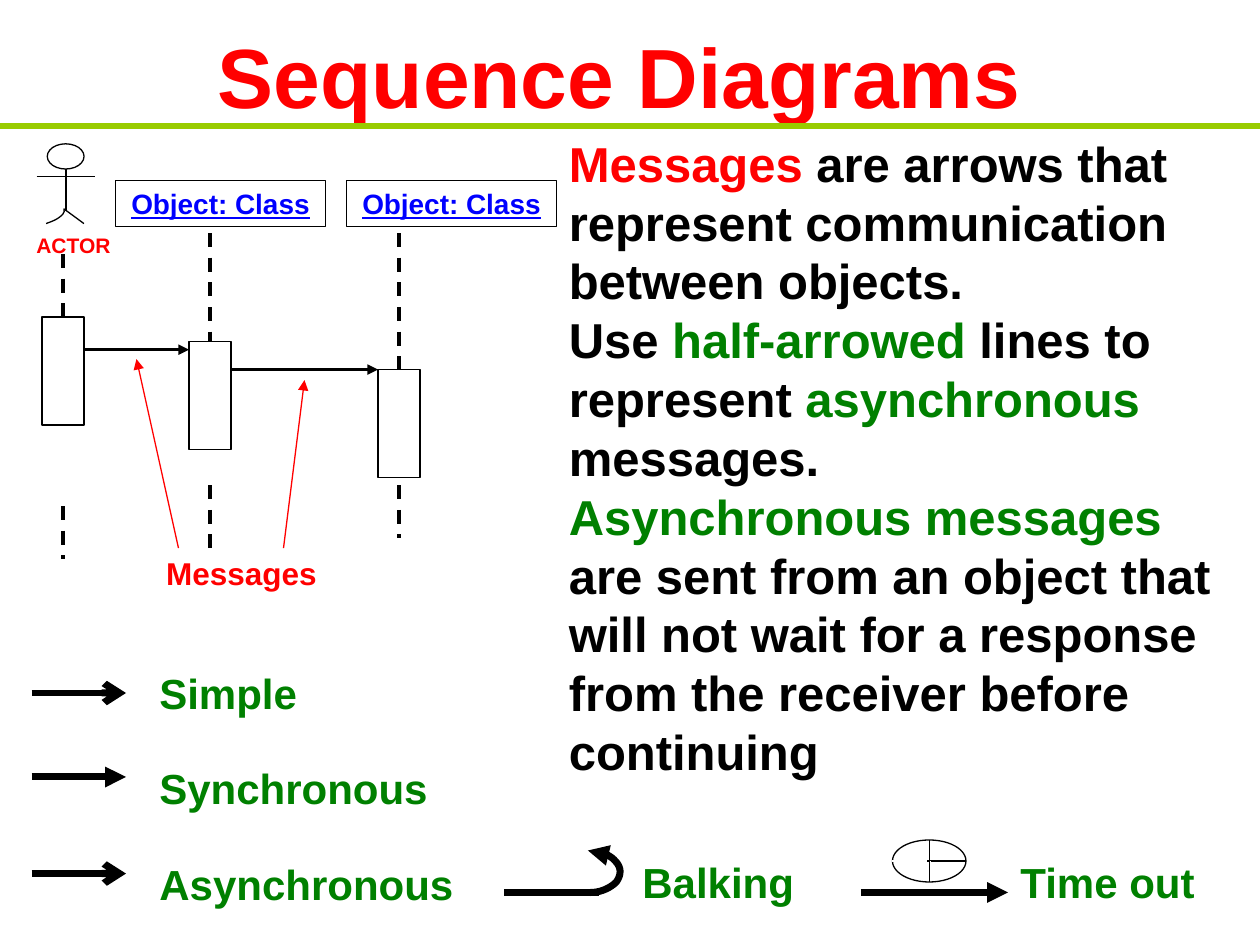
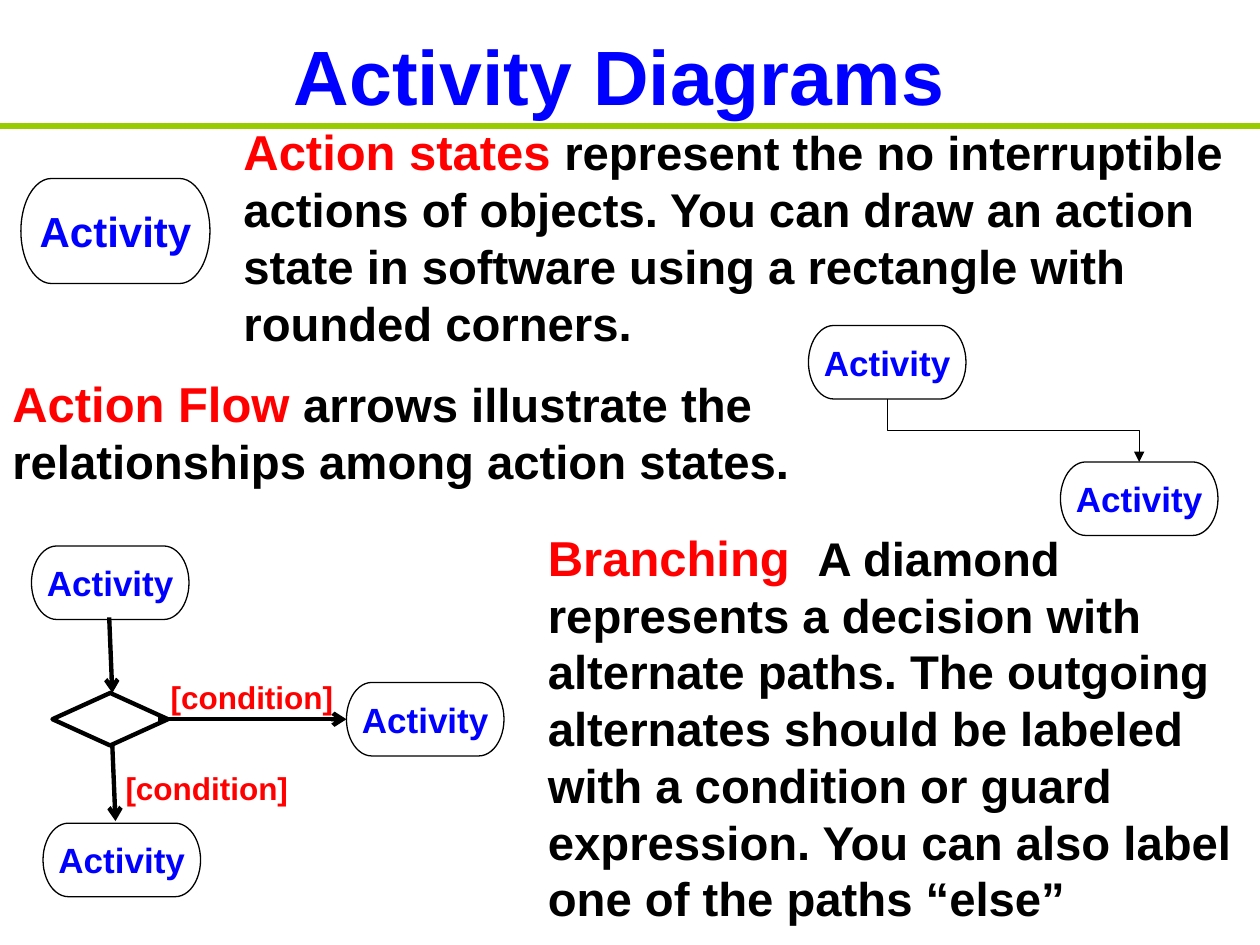
"""Build two slides on UML sequence and activity diagrams."""
from lxml import etree
from pptx import Presentation
from pptx.dml.color import RGBColor
from pptx.enum.dml import MSO_LINE
from pptx.enum.shapes import MSO_CONNECTOR, MSO_SHAPE
from pptx.enum.text import MSO_ANCHOR, PP_ALIGN
from pptx.oxml.ns import qn
from pptx.util import Inches, Pt

STRAIGHT, ELBOW = MSO_CONNECTOR.STRAIGHT, MSO_CONNECTOR.ELBOW
RECTANGLE, OVAL, DIAMOND = MSO_SHAPE.RECTANGLE, MSO_SHAPE.OVAL, MSO_SHAPE.DIAMOND
TERMINATOR, OR_GATE = MSO_SHAPE.FLOWCHART_TERMINATOR, MSO_SHAPE.FLOWCHART_OR
LEFT, CENTER = PP_ALIGN.LEFT, PP_ALIGN.CENTER
TOP, MIDDLE = MSO_ANCHOR.TOP, MSO_ANCHOR.MIDDLE

FONT = "Arial"
BLACK, WHITE, RED, GREEN, BLUE, LIME = "000000", "FFFFFF", "FF0000", "008000", "0000FF", "99CC00"
COLUMNS, ROWS, CELLS_PER_INCH = 120, 90, 12
TITLE_BOX, RULE_ROW = (8, 2, 102, 10.2), 12

MESSAGE_NOTES = [
    [("Messages", RED), (" are arrows that represent communication between objects.", BLACK)],
    [("Use ", BLACK), ("half-arrowed", GREEN), (" lines to represent ", BLACK),
     ("asynchronous ", GREEN), ("messages.", BLACK)],
    [("Asynchronous messages", GREEN),
     (" are sent from an object that will not wait for a response from the receiver"
      " before continuing", BLACK)],
]
OBJECT_COLUMNS = [11, 33]
LIFELINES = [
    {"column": 6, "start": 24.2, "bar": 30.2, "resume": 48.2, "end": 53.2},
    {"column": 20, "start": 22.2, "bar": 32.5, "resume": 46.2, "end": 52.2},
    {"column": 38, "start": 22.2, "bar": 35.2, "resume": 46.2, "end": 51.2},
]
BAR_WIDTH, BAR_HEIGHT = 4, 10.3
MESSAGE_ROWS = [33.3, 35.2]
CALLOUTS = [((17, 52.2), (13, 34.2)), ((27, 52.2), (29, 36.2))]
ARROW_KINDS = [
    ("Simple", (14, 63, 25, 6), (3, 66), (12, 66), "arrow"),
    ("Synchronous", (14, 72, 29, 6), (3, 74), (12, 74), "triangle"),
    ("Asynchronous", (14, 81.2, 32, 6), (3, 83.2), (12, 83.2), "arrow"),
    ("Balking", (60, 81, 17, 6), (48, 85), (57, 85), None),
    ("Time out", (96, 81, 21, 6), (82, 85), (96, 85), "triangle"),
]
BALKING_TURN = [
    [(56.2, 85), (57.2, 85), (58.1, 84.6), (58.7, 84)],
    [(58.7, 84), (59.2, 83.3), (59.2, 82.6), (58.6, 82)],
    [(58.6, 82), (58.1, 81.4), (57.1, 81), (56, 81)],
]
ACTOR_HEAD = (4.5, 13.7, 3.5, 2.4)
ACTOR_LIMBS = [((6.3, 16.1), (6.3, 20.1)), ((3.5, 16.8), (9, 16.8))]
ACTOR_LEGS = [
    [(4.4, 21.3), (5.2, 21), (5.5, 20.9), (6, 20.4)],
    [(6, 20.4), (6.2, 20), (6.1, 20.3), (6.1, 19.9)],
]
ACTOR_FOOT = (8, 21.3)
CLOCK = (85, 80, 7, 4)
CLOCK_GAPS = [((85, 82), (88.3, 82)), ((88.6, 82), (88.6, 83.6))]

ACTIVITY_NOTES = [
    ((22, 11, 98, 23), "Action states ",
     "represent the no interruptible actions of objects. You can draw an action state in"
     " software using a rectangle with rounded corners."),
    ((0, 35, 77, 12.2), "Action Flow ",
     "arrows illustrate the relationships among action states."),
    ((51, 49.6, 69, 39.3), "Branching\t",
     "A diamond represents a decision with alternate paths. The outgoing alternates should be"
     " labeled with a condition or guard expression. You can also label one of the paths “else”"),
]
BRANCHING_TAB = 2.14
MAIN_ACTIVITY = (2, 17, 18, 10)
ACTIVITY_CORNERS = [(77, 31), (101, 44), (3, 52), (33, 65), (4.1, 78.4)]
ACTIVITY_SIZE = (15, 7)
ACTION_FLOW = ((84.5, 38), (108.5, 44))
DECISION = (5, 66, 11, 5)
BRANCHES = [((10.4, 58.8), (10.7, 66)), ((10.7, 71), (11, 78.2)), ((15, 68.5), (33, 68.5))]
CONDITION_CORNERS = [(14, 64), (9.7, 72.7)]


def cells(*lengths):
    return [Inches(length / CELLS_PER_INCH) for length in lengths]


def rgb(color):
    return RGBColor.from_string(color)


def write(frame, content, size=24, color=BLACK, align=LEFT, anchor=TOP, underline=False,
          inset=True, tab=None):
    frame.word_wrap = inset
    frame.vertical_anchor = anchor
    frame.margin_left = frame.margin_right = Inches(0.1 if inset else 0)
    frame.margin_top = frame.margin_bottom = Inches(0.05 if inset else 0)
    paragraphs = [[(content, color)]] if isinstance(content, str) else content
    for index, pieces in enumerate(paragraphs):
        paragraph = frame.add_paragraph() if index else frame.paragraphs[0]
        paragraph.alignment = align
        if tab:
            stops = etree.SubElement(paragraph._p.get_or_add_pPr(), qn("a:tabLst"))
            etree.SubElement(stops, qn("a:tab"), pos=str(Inches(tab)), algn="l")
        for words, piece_color, *piece_size in pieces:
            run = paragraph.add_run()
            run.text = words
            run.font.name, run.font.bold = FONT, True
            run.font.size = Pt(piece_size[0] if piece_size else size)
            run.font.color.rgb = rgb(piece_color)
            if underline:
                run.font.underline = True


def add_text(slide, box, content, **style):
    write(slide.shapes.add_textbox(*cells(*box)).text_frame, content, **style)


def ink(stroke, color, width, dash=None, tail=None):
    stroke.line.color.rgb = rgb(color)
    stroke.line.width = Pt(width)
    if dash:
        stroke.line.dash_style = dash
    if tail:
        outline = stroke.element.spPr.find(qn("a:ln"))
        etree.SubElement(outline, qn("a:tailEnd"), type=tail)


def add_line(slide, start, end, color=BLACK, width=0.75, kind=STRAIGHT, **style):
    line = slide.shapes.add_connector(kind, *cells(*start, *end))
    ink(line, color, width, **style)
    etree.SubElement(line.element.spPr, qn("a:effectLst"))
    return line


def add_vertical_elbow(slide, start, end, **style):
    middle_x, middle_y = (start[0] + end[0]) / 2, (start[1] + end[1]) / 2
    half_x, half_y = (end[0] - start[0]) / 2, (end[1] - start[1]) / 2
    elbow = add_line(slide, (middle_x + half_y, middle_y - half_x),
                     (middle_x - half_y, middle_y + half_x), kind=ELBOW, **style)
    elbow.element.spPr.find(qn("a:xfrm")).set("rot", str(270 * 60000))


def outline_only(shape, width=0.75, **style):
    shape.shadow.inherit = False
    shape.fill.background()
    ink(shape, BLACK, width, **style)
    return shape


def add_outline(slide, kind, box, width=0.75):
    return outline_only(slide.shapes.add_shape(kind, *cells(*box)), width)


def bezier(controls, steps=12):
    weights = (1, 3, 3, 1)
    for step in range(steps + 1):
        t = step / steps
        yield tuple(sum(weight * (1 - t) ** (3 - k) * t ** k * point[axis]
                        for k, (weight, point) in enumerate(zip(weights, controls)))
                    for axis in (0, 1))


def add_curve(slide, curves, *corners, **style):
    points = [point for curve in curves for point in bezier(curve)] + list(corners)
    start, *rest = [cells(*point) for point in points]
    builder = slide.shapes.build_freeform(*start)
    builder.add_line_segments(rest, close=False)
    outline_only(builder.convert_to_shape(), **style)


def add_activity(slide, box, size):
    activity = add_outline(slide, TERMINATOR, box)
    write(activity.text_frame, "Activity", size=size, color=BLUE, align=CENTER,
          anchor=MIDDLE, inset=False)


def start_slide(deck, title, size, color):
    slide = deck.slides.add_slide(deck.slide_layouts[6])
    add_text(slide, TITLE_BOX, title, size=size, color=color, align=CENTER, anchor=MIDDLE)
    add_line(slide, (0, RULE_ROW), (COLUMNS, RULE_ROW), color=LIME, width=3)
    return slide


def build_sequence(deck):
    slide = start_slide(deck, "Sequence Diagrams", 48, RED)
    add_outline(slide, OVAL, ACTOR_HEAD)
    for start, end in ACTOR_LIMBS:
        add_line(slide, start, end)
    add_curve(slide, ACTOR_LEGS, ACTOR_FOOT)
    add_text(slide, (2, 21.6, 10, 3.6), "ACTOR", size=12, color=RED, align=CENTER)
    for column in OBJECT_COLUMNS:
        header = add_outline(slide, RECTANGLE, (column, 17.2, 20, 4.4))
        write(header.text_frame, "Object: Class", size=16, color=BLUE, align=CENTER,
              underline=True)
    for life in LIFELINES:
        x = life["column"]
        add_outline(slide, RECTANGLE, (x - BAR_WIDTH / 2, life["bar"], BAR_WIDTH, BAR_HEIGHT))
        for top, bottom in (("start", "bar"), ("resume", "end")):
            add_line(slide, (x, life[top]), (x, life[bottom]), width=2, dash=MSO_LINE.DASH)
    for row, sender, receiver in zip(MESSAGE_ROWS, LIFELINES, LIFELINES[1:]):
        add_line(slide, (sender["column"] + BAR_WIDTH / 2, row),
                 (receiver["column"] - BAR_WIDTH / 2, row), width=2, tail="triangle")
    for start, end in CALLOUTS:
        add_line(slide, start, end, color=RED, tail="triangle")
    add_text(slide, (9, 52.2, 28, 4.8), "Messages", size=18, color=RED, align=CENTER)
    add_text(slide, (53, 12.1, 65, 62.9), MESSAGE_NOTES, size=28)
    for name, box, start, end, head in ARROW_KINDS:
        add_text(slide, box, name, color=GREEN)
        add_line(slide, start, end, width=4, tail=head)
    add_curve(slide, BALKING_TURN, width=4, tail="triangle")
    add_outline(slide, OR_GATE, CLOCK)
    for start, end in CLOCK_GAPS:
        add_line(slide, start, end, color=WHITE)


def build_activity(deck):
    slide = start_slide(deck, "Activity Diagrams", 44, BLUE)
    add_activity(slide, MAIN_ACTIVITY, 24)
    for corner in ACTIVITY_CORNERS:
        add_activity(slide, corner + ACTIVITY_SIZE, 20)
    add_vertical_elbow(slide, *ACTION_FLOW, tail="triangle")
    for box, term, meaning in ACTIVITY_NOTES:
        add_text(slide, box, [[(term, RED, 28), (meaning, BLACK, 27)]],
                 tab=BRANCHING_TAB if "\t" in term else None)
    add_outline(slide, DIAMOND, DECISION, 2.5)
    for start, end in BRANCHES:
        add_line(slide, start, end, width=2.5, tail="arrow")
    for corner in CONDITION_CORNERS:
        add_text(slide, corner + (20, 4.8), "[condition]", size=18, color=RED, align=CENTER)


def main():
    deck = Presentation()
    deck.slide_width, deck.slide_height = cells(COLUMNS, ROWS)
    build_sequence(deck)
    build_activity(deck)
    deck.save("out.pptx")


if __name__ == "__main__":
    main()
